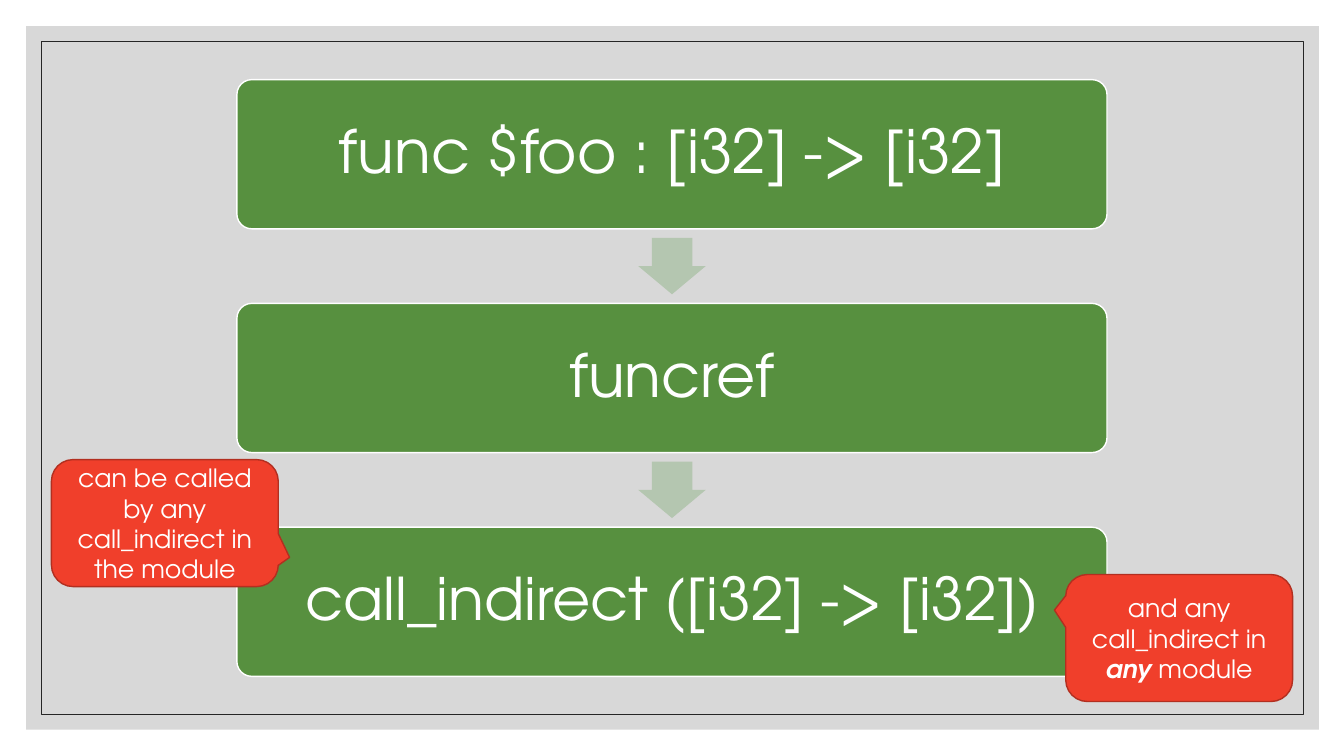
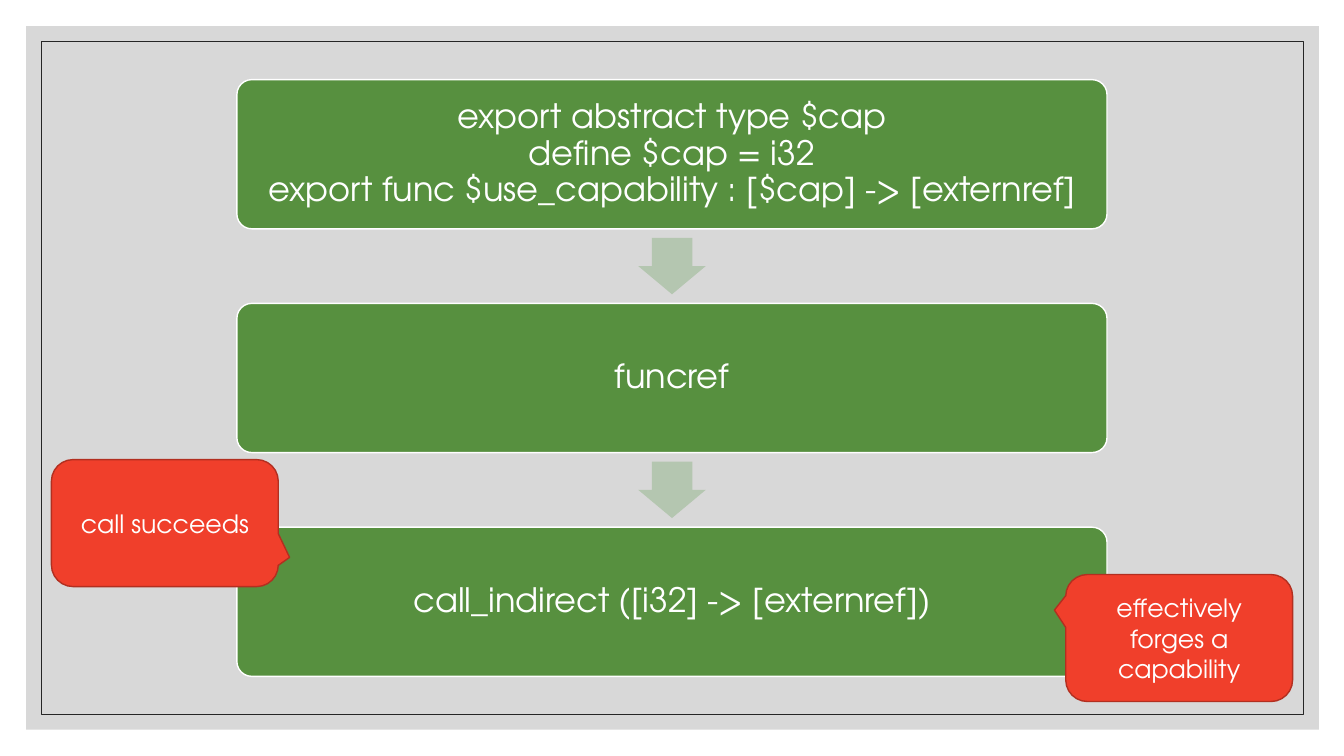
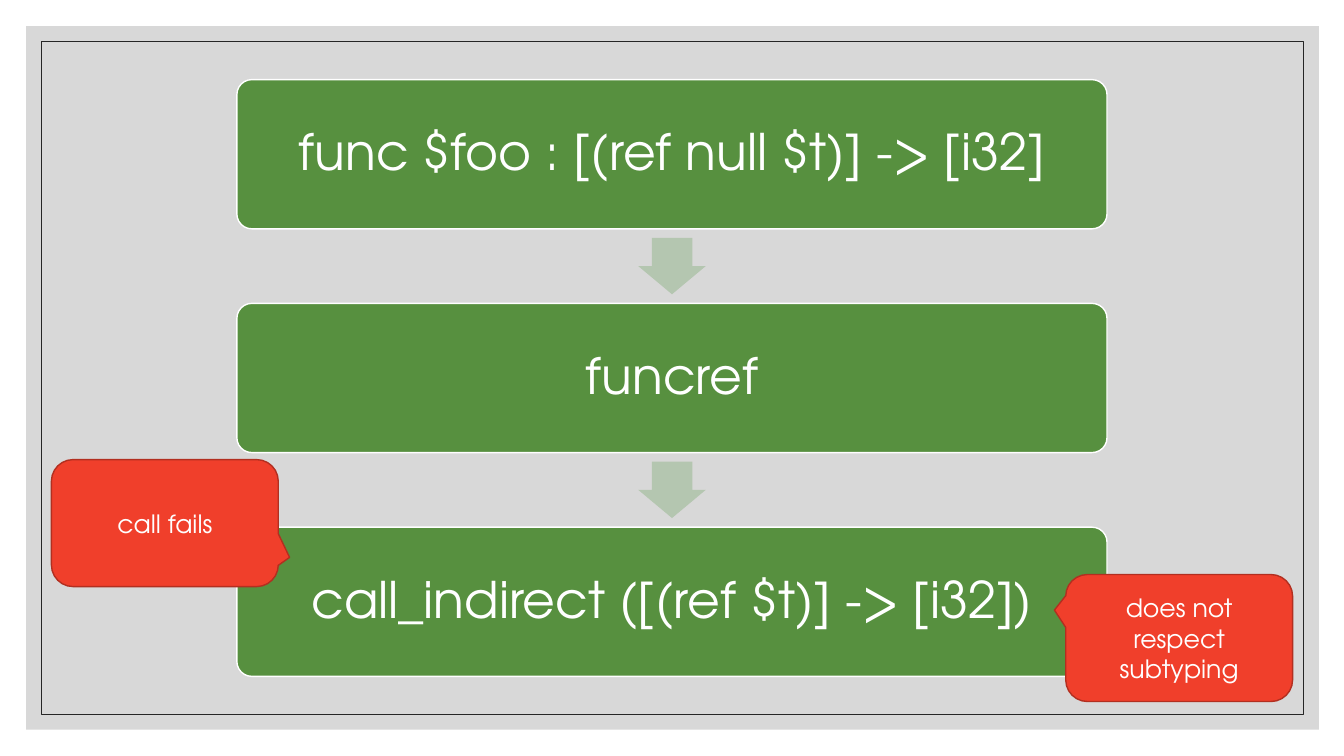
"""Build three slides that show how function references reach indirect calls."""
from lxml import etree
from pptx import Presentation
from pptx.dml.color import RGBColor
from pptx.enum.shapes import MSO_SHAPE
from pptx.enum.text import MSO_ANCHOR, PP_ALIGN
from pptx.oxml.ns import qn
from pptx.util import Inches, Pt

RECTANGLE = MSO_SHAPE.RECTANGLE
ROUNDED = MSO_SHAPE.ROUNDED_RECTANGLE
ARROW = MSO_SHAPE.RIGHT_ARROW
CALLOUT = MSO_SHAPE.ROUNDED_RECTANGULAR_CALLOUT
MIDDLE = MSO_ANCHOR.MIDDLE
CENTER = PP_ALIGN.CENTER

FONT = "TeX Gyre Adventor"
COLORS = {
    "panel": "BFBFBF",
    "frame": "262626",
    "step": "57903F",
    "arrow": "B4C6B0",
    "callout": "F03F2B",
    "callout_edge": "B22F20",
    "white": "FFFFFF",
}

STEP_LEFT, STEP_TOP, STEP_WIDTH, STEP_HEIGHT = 2.35, 0.79, 8.63, 1.48
STEP_PITCH = 2.22
ARROW_LENGTH, ARROW_BREADTH = 0.56, 0.67
CALLOUT_SIZE = (2.25, 1.26)
LEFT_CALLOUT = ((0.51, 4.56), (0.55, 0.27, 0.17))
RIGHT_CALLOUT = ((10.57, 5.7), (-0.55, -0.22, 0.17))

FLOWS = [
    {
        "steps": [
            ("func $foo : [i32] -> [i32]", 43),
            ("funcref", 43),
            ("call_indirect ([i32] -> [i32])", 42),
        ],
        "left": "can be called by any call_indirect in the module",
        "right": "and any call_indirect in any module",
        "emphasis": "any",
    },
    {
        "steps": [
            ("export abstract type $cap\n"
             "define $cap = i32\n"
             "export func $use_capability : [$cap] -> [externref]", 24),
            ("funcref", 24),
            ("call_indirect ([i32] -> [externref])", 24),
        ],
        "left": "call succeeds",
        "right": "effectively forges a capability",
    },
    {
        "steps": [
            ("func $foo : [(ref null $t)] -> [i32]", 36),
            ("funcref", 36),
            ("call_indirect ([(ref $t)] -> [i32])", 36),
        ],
        "left": "call fails",
        "right": "does not respect subtyping",
    },
]


def rgb(name):
    """Return the named colour of the deck."""
    return RGBColor.from_string(COLORS[name])


def write(frame, text, size=18, color="white", spacing=None, emphasis=None):
    """Write centred text, with the last match of emphasis in bold italic."""
    frame.word_wrap = True
    frame.vertical_anchor = MIDDLE
    paragraph = frame.paragraphs[0]
    paragraph.alignment = CENTER
    paragraph.line_spacing = spacing
    pieces = text.rpartition(emphasis) if emphasis else (text,)
    for piece in pieces:
        for number, line in enumerate(piece.split("\n")):
            if number:
                paragraph.add_line_break()
            run = paragraph.add_run()
            run.text = line
            run.font.name = FONT
            run.font.size = Pt(size)
            run.font.color.rgb = rgb(color)
            if piece == emphasis:
                run.font.bold = run.font.italic = True


class FlowDeck:
    """Hold the presentation, its style and the current slide."""

    def __init__(self):
        """Start an empty widescreen presentation."""
        self.presentation = Presentation()
        self.presentation.slide_width = Inches(13.33)
        self.presentation.slide_height = Inches(7.5)
        self.slide = None

    def shape(self, kind, box, fill=None, edge=None, edge_width=1, adjust=()):
        """Add a preset shape in the given box."""
        shape = self.slide.shapes.add_shape(kind, *map(Inches, box))
        shape.shadow.inherit = False
        for number, value in enumerate(adjust):
            shape.adjustments[number] = value
        if fill:
            shape.fill.solid()
            shape.fill.fore_color.rgb = rgb(fill)
        else:
            shape.fill.background()
        if edge:
            shape.line.color.rgb = rgb(edge)
            shape.line.width = Pt(edge_width)
        else:
            shape.line.fill.background()
        return shape

    def new_slide(self):
        """Add a slide with the shared panel and frame."""
        blank = self.presentation.slide_layouts[6]
        self.slide = self.presentation.slides.add_slide(blank)
        panel = self.shape(RECTANGLE, (0.26, 0.26, 12.82, 6.98), fill="panel")
        color = panel.fill._xPr.find(qn("a:solidFill"))[0]
        etree.SubElement(color, qn("a:alpha")).set("val", "60000")
        self.shape(RECTANGLE, (0.41, 0.41, 12.52, 6.68), edge="frame", edge_width=0.5)

    def step(self, top, text, size):
        """Add a green step whose margins grow with its text."""
        box = (STEP_LEFT, top, STEP_WIDTH, STEP_HEIGHT)
        frame = self.shape(ROUNDED, box, "step", "white", adjust=(0.1,)).text_frame
        margin = Inches(size / 240)
        frame.margin_left = frame.margin_right = margin
        frame.margin_top = frame.margin_bottom = margin
        write(frame, text, size=size, spacing=0.9)

    def arrow(self, step_top):
        """Add a down arrow centred in the gap above a step."""
        center_x = STEP_LEFT + STEP_WIDTH / 2
        center_y = step_top - (STEP_PITCH - STEP_HEIGHT) / 2
        box = (center_x - ARROW_LENGTH / 2, center_y - ARROW_BREADTH / 2,
               ARROW_LENGTH, ARROW_BREADTH)
        self.shape(ARROW, box, "arrow", adjust=(0.6, 0.5)).rotation = 90

    def callout(self, placement, text, emphasis=None):
        """Add a red speech callout."""
        corner, pointer = placement
        bubble = self.shape(CALLOUT, corner + CALLOUT_SIZE, "callout",
                            "callout_edge", adjust=pointer)
        write(bubble.text_frame, text, emphasis=emphasis)

    def flow(self, steps, left, right, emphasis=None):
        """Add a slide with a column of steps and two callouts."""
        self.new_slide()
        for number, (text, size) in enumerate(steps):
            top = STEP_TOP + number * STEP_PITCH
            if number:
                self.arrow(top)
            self.step(top, text, size)
        self.callout(LEFT_CALLOUT, left)
        self.callout(RIGHT_CALLOUT, right, emphasis)


def main():
    """Build and save the deck."""
    deck = FlowDeck()
    for flow in FLOWS:
        deck.flow(**flow)
    deck.presentation.save("out.pptx")


if __name__ == "__main__":
    main()
